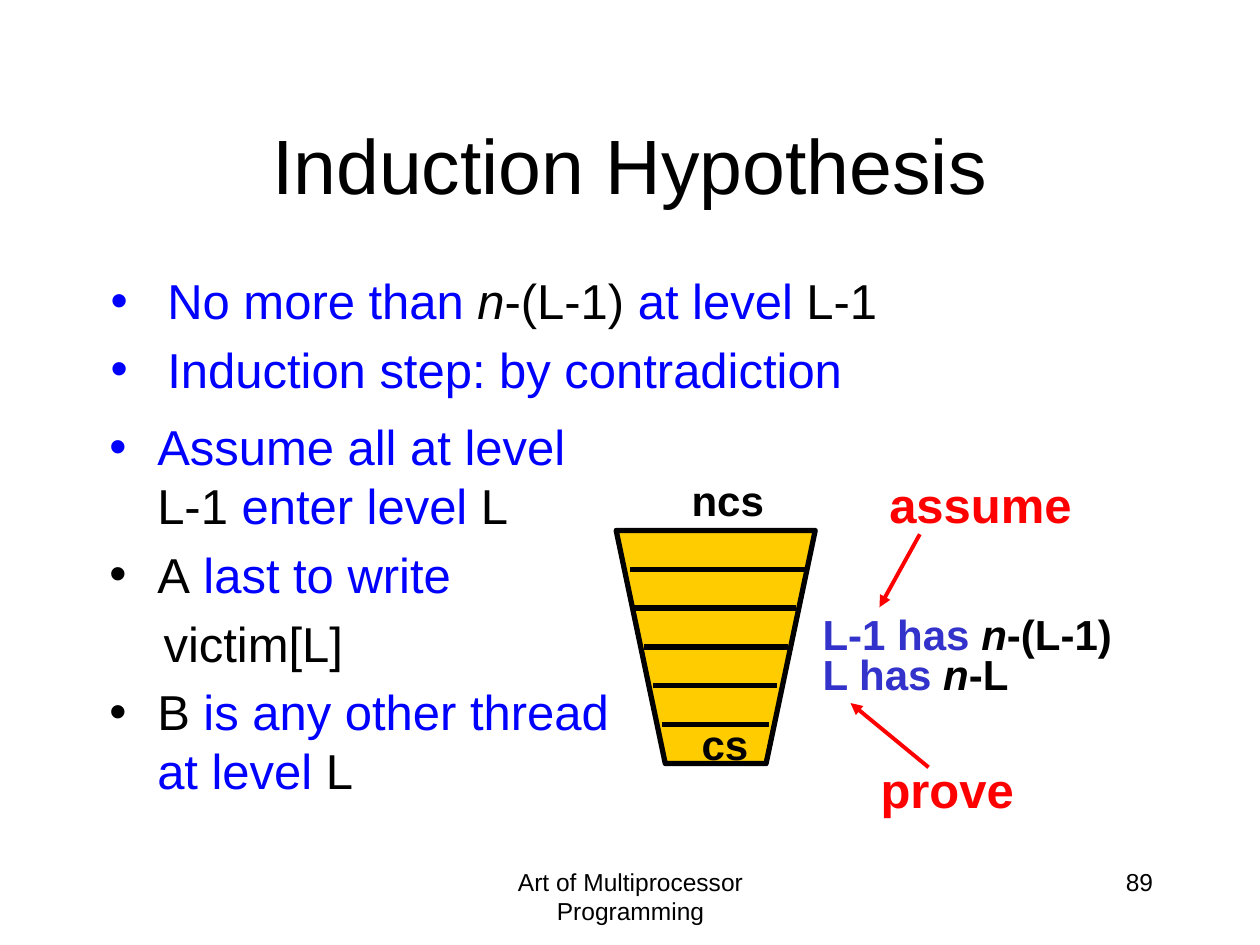
import pptx
import pptx.util
import pptx.dml.color
import pptx.enum.shapes
import pptx.enum.text
from lxml import etree
from pptx.util import Inches

ALIGN = pptx.enum.text.PP_ALIGN
ANCHOR = pptx.enum.text.MSO_ANCHOR
BLACK, BLUE, INDIGO, RED, GOLD = "000000", "0000FF", "3333CC", "FF0000", "FFCC00"


def color(hex_code):
    return pptx.dml.color.RGBColor.from_string(hex_code)


def add_xml(parent, tag, **attributes):
    return etree.SubElement(parent, pptx.oxml.ns.qn(tag), attributes)


def add_runs(paragraph, runs, size, bold=False):
    """Each run is (text, colour) or (text, colour, italic)."""
    for text, hex_code, *italic in runs:
        run = paragraph.add_run()
        run.text = text
        run.font.name = "Arial"
        run.font.size = pptx.util.Pt(size)
        run.font.bold = bold
        run.font.italic = bool(italic and italic[0])
        run.font.color.rgb = color(hex_code)


def add_frame(slide, box, wrap=True):
    frame = slide.shapes.add_textbox(*map(Inches, box)).text_frame
    frame.word_wrap = wrap
    return frame


def add_label(slide, box, runs, size, bold=False, align=ALIGN.LEFT,
              anchor=ANCHOR.TOP, wrap=False):
    frame = add_frame(slide, box, wrap)
    frame.vertical_anchor = anchor
    frame.paragraphs[0].alignment = align
    add_runs(frame.paragraphs[0], runs, size, bold)


def add_list(slide, box, items, indent, wrap=True):
    """Each item is (bulleted, left margin, runs)."""
    frame = add_frame(slide, box, wrap)
    for index, (bulleted, margin, runs) in enumerate(items):
        paragraph = frame.add_paragraph() if index else frame.paragraphs[0]
        if index:
            paragraph.space_before = pptx.util.Pt(5.6)
        properties = paragraph._p.get_or_add_pPr()
        properties.set("marL", str(Inches(margin)))
        if bulleted:
            properties.set("indent", str(-Inches(indent)))
            add_xml(properties, "a:buFont", typeface="Arial")
            add_xml(properties, "a:buChar", char="•")
        add_runs(paragraph, runs, 28)


def add_line(slide, start, end, hex_code, width, arrow=False):
    line = slide.shapes.add_connector(
        pptx.enum.shapes.MSO_CONNECTOR.STRAIGHT,
        *map(Inches, (*start, *end)))
    line.line.color.rgb = color(hex_code)
    line.line.width = pptx.util.Pt(width)
    if arrow:
        add_xml(line.line._get_or_add_ln(), "a:tailEnd", type="triangle")
    add_xml(line._element.spPr, "a:effectLst")


def add_funnel(slide, left, top, width, height):
    # Outline narrowing from the top to the critical section
    inset = 0.39
    corners = [(left + inset, top + height), (left + width - inset, top + height),
               (left + width, top)]
    builder = slide.shapes.build_freeform(Inches(left), Inches(top), scale=1.0)
    builder.add_line_segments(
        [(Inches(x), Inches(y)) for x, y in corners], close=True)
    funnel = builder.convert_to_shape()
    funnel.shadow.inherit = False
    funnel.fill.solid()
    funnel.fill.fore_color.rgb = color(GOLD)
    funnel.line.color.rgb = color(BLACK)
    funnel.line.width = pptx.util.Pt(3)

    # Level dividers, evenly spaced
    spans = [(0.11, 1.51), (0.14, 1.43), (0.22, 1.36), (0.29, 1.28), (0.36, 1.21)]
    step = height / (len(spans) + 1)
    for level, (start, end) in enumerate(spans, 1):
        y = top + level * step
        add_line(slide, (left + start, y), (left + end, y), BLACK, 3)

    add_label(slide, (left + 0.5, top - 0.49, 0.78, 0.51), [("ncs", BLACK)], 24, True)
    add_label(slide, (left + 0.58, top + 1.44, 0.58, 0.51), [("cs", BLACK)], 24, True)


def add_claims(slide, left, top):
    # Thread counts per level
    add_label(slide, (left, top, 2.52, 0.51),
              [("L-1 has ", INDIGO), ("n", BLACK, True), ("-(L-1)", BLACK)], 24, True)
    add_label(slide, (left, top + 0.32, 1.69, 0.51),
              [("L has ", INDIGO), ("n", BLACK, True), ("-L", BLACK)], 24, True)

    # Remarks pointing at the counts
    add_label(slide, (left + 0.53, top - 1.06, 1.67, 0.57), [("assume", RED)], 28, True)
    add_line(slide, (left + 0.87, top - 0.54), (left + 0.55, top + 0.04), RED, 2.25, True)
    add_label(slide, (left + 0.46, top + 1.2, 1.27, 0.57), [("prove", RED)], 28, True)
    add_line(slide, (left + 0.94, top + 1.31), (left + 0.32, top + 0.8), RED, 2.25, True)


def add_footer(slide, top, height):
    add_label(slide, (3.42, top, 3.17, height),
              [("Art of Multiprocessor Programming", BLACK)], 14,
              align=ALIGN.CENTER, wrap=True)
    add_label(slide, (7.17, top, 2.08, height), [("89", BLACK)], 14,
              align=ALIGN.RIGHT, wrap=True)


def main():
    deck = pptx.Presentation()
    deck.slide_width, deck.slide_height = Inches(10), Inches(7.5)
    slide = deck.slides.add_slide(deck.slide_layouts[6])

    add_footer(slide, 6.83, 0.5)
    add_label(slide, (0.75, 0.67, 8.5, 1.25), [("Induction Hypothesis", BLACK)], 44,
              align=ALIGN.CENTER, anchor=ANCHOR.MIDDLE, wrap=True)

    # Proof setup
    add_list(slide, (0.77, 3.26, 4.17, 3.82), [
        (True, 0.38, [("Assume all at level", BLUE), (" L-1", BLACK),
                      (" enter level ", BLUE), ("L", BLACK)]),
        (True, 0.38, [("A", BLACK), (" last to write", BLUE)]),
        (False, 0.43, [("victim[L]", BLACK)]),
        (True, 0.38, [("B", BLACK), (" is any other thread at level ", BLUE),
                      ("L", BLACK)]),
    ], 0.38)

    # Hypothesis
    add_list(slide, (0.78, 2.1, 6.38, 1.14), [
        (True, 0.45, [("No more than ", BLUE), ("n", BLACK, True),
                      ("-(L-1) ", BLACK), ("at level ", BLUE), ("L-1", BLACK)]),
        (True, 0.45, [("Induction step: by contradiction", BLUE)]),
    ], 0.45, wrap=False)

    add_funnel(slide, 4.89, 4.21, 1.58, 1.85)
    add_claims(slide, 6.43, 4.78)
    deck.save("out.pptx")


if __name__ == "__main__":
    main()
